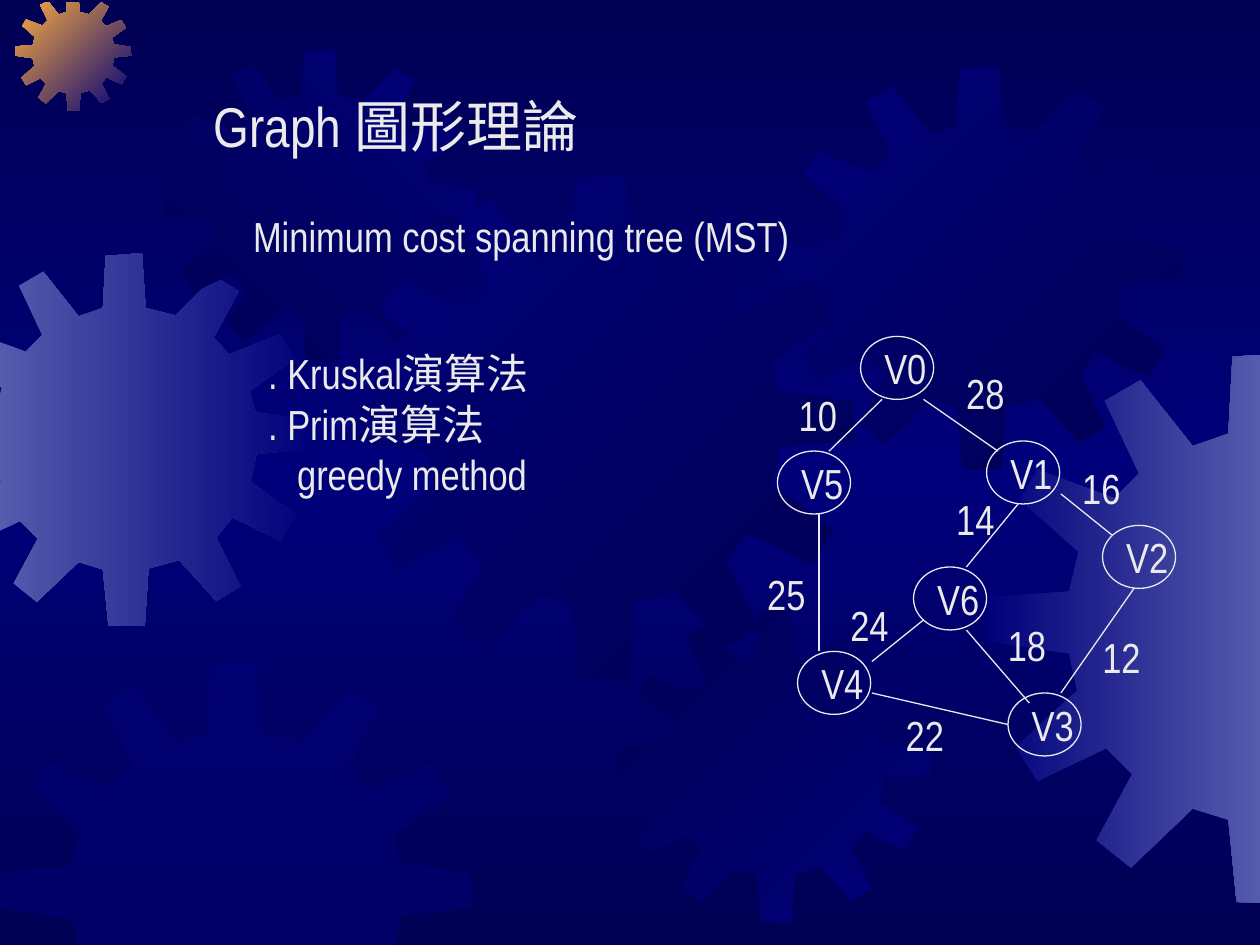
from copy import deepcopy
from typing import NamedTuple, Optional

from lxml.etree import SubElement
from pptx import Presentation
from pptx.dml.color import RGBColor
from pptx.enum.shapes import MSO_CONNECTOR, MSO_SHAPE
from pptx.enum.text import MSO_AUTO_SIZE
from pptx.oxml.ns import qn
from pptx.util import Inches, Pt

FONT = "Arial Narrow"
LIGHT, NAVY, DARK = "EAEAEA", "00007A", "000054"
LILAC, ORANGE = "555BAD", "FCAB40"

# Gear outline in hundredths of an inch, inside a square of GEAR_SIZE
GEAR_SIZE = 401
GEAR_OUTLINE = [
    (255, 67), (223, 59), (219, 0), (180, 3), (177, 59), (151, 68), (113, 20), (87, 35),
    (112, 88), (94, 106), (38, 85), (25, 107), (68, 145), (61, 174), (1, 178), (0, 210),
    (61, 219), (67, 246), (22, 287), (38, 312), (88, 288), (107, 307), (81, 355), (106, 375),
    (151, 332), (177, 340), (183, 400), (222, 401), (226, 339), (259, 330), (299, 374), (325, 358),
    (299, 306), (316, 284), (368, 309), (384, 281), (336, 246), (342, 216), (401, 210), (400, 180),
    (341, 171), (335, 148), (383, 114), (367, 87), (313, 109), (296, 91), (323, 41), (297, 25),
]
# Cutting edges of the slide: axis, limit, side that is kept
SLIDE_EDGES = [(0, -0.01, 1), (0, 10.01, -1), (1, 0.02, 1), (1, 7.54, -1)]


class Gear(NamedTuple):
    left: float
    top: float
    size: float
    start: str
    end: Optional[str] = None  # no end colour: half-transparent solid fill
    angle: int = 0  # clockwise


class Node(NamedTuple):
    name: str
    left: float
    top: float


class Edge(NamedTuple):
    begin: tuple
    end: tuple
    cost: str
    label: tuple


GEARS = [
    Gear(-0.49, 2.01, 2.96, LILAC, NAVY),
    Gear(0.12, -0.04, 0.92, ORANGE, NAVY, 45),
    Gear(1.3, 0.39, 2.48, DARK, NAVY, 315),
    Gear(2.77, 1.39, 4.01, NAVY, DARK, 45),
    Gear(0, 5.25, 3.74, NAVY),
    Gear(4.91, 4.84, 2.48, DARK, NAVY, 45),
    Gear(6.18, 0.53, 3.2, NAVY, DARK, 45),
    Gear(7.82, 2.8, 4.37, NAVY, LILAC),
]
NODES = [
    Node("V0", 6.83, 2.67), Node("V5", 6.17, 3.58), Node("V1", 7.83, 3.5),
    Node("V2", 8.75, 4.17), Node("V6", 7.25, 4.5), Node("V3", 8, 5.5),
    Node("V4", 6.33, 5.17),
]
EDGES = [
    Edge((7, 3.17), (6.58, 3.58), "10", (6.24, 3.04)),
    Edge((7.33, 3.17), (7.92, 3.58), "28", (7.57, 2.87)),
    Edge((8.08, 4), (7.67, 4.5), "14", (7.49, 3.87)),
    Edge((7.33, 4.92), (6.92, 5.25), "24", (6.65, 4.71)),
    Edge((6.5, 4.08), (6.5, 5.17), "25", (5.99, 4.46)),
    Edge((6.92, 5.5), (8, 5.75), "22", (7.09, 5.58)),
    Edge((8.42, 3.92), (8.83, 4.25), "16", (8.49, 3.62)),
    Edge((9, 4.67), (8.42, 5.5), "12", (8.65, 4.96)),
    Edge((7.67, 5), (8.17, 5.58), "18", (7.9, 4.87)),
]


def color(value: str) -> RGBColor:
    return RGBColor.from_string(value)


def fill_gradient(fill, start: str, end: str, angle: int) -> None:
    fill.gradient()
    fill.gradient_angle = (360 - angle) % 360
    for stop, value in zip(fill.gradient_stops, (start, end)):
        stop.color.rgb = color(value)


def clip(points: list, axis: int, limit: float, side: int) -> list:
    """Keep the part of a polygon on one side of a straight cut."""
    kept = []
    for first, second in zip(points, points[1:] + points[:1]):
        first_gap, second_gap = (side * (point[axis] - limit) for point in (first, second))
        if first_gap >= 0:
            kept.append(first)
        if first_gap * second_gap < 0:
            share = first_gap / (first_gap - second_gap)
            kept.append(tuple(a + share * (b - a) for a, b in zip(first, second)))
    return kept


def draw_gear(shapes, gear: Gear) -> None:
    scale = gear.size / GEAR_SIZE
    points = [(gear.left + x * scale, gear.top + y * scale) for x, y in GEAR_OUTLINE]
    for edge in SLIDE_EDGES:
        points = clip(points, *edge)
    corners = [(Inches(x), Inches(y)) for x, y in points]
    builder = shapes.build_freeform(*corners[0])
    builder.add_line_segments(corners[1:], close=True)
    shape = builder.convert_to_shape()
    shape.shadow.inherit = False
    shape.line.fill.background()
    if gear.end:
        fill_gradient(shape.fill, gear.start, gear.end, gear.angle)
    else:
        shape.fill.solid()
        shape.fill.fore_color.rgb = color(gear.start)
        SubElement(shape.element.spPr.find(".//" + qn("a:srgbClr")), qn("a:alpha"), val="50000")


def draw_text(shapes, lines: list, left: float, top: float, width: float,
              height: float = 0.5, size: int = 24):
    box = shapes.add_textbox(Inches(left), Inches(top), Inches(width), Inches(height))
    frame = box.text_frame
    frame.word_wrap = False
    frame.auto_size = MSO_AUTO_SIZE.SHAPE_TO_FIT_TEXT
    frame.text = "\n".join(lines)
    for paragraph in frame.paragraphs:
        paragraph.font.name = FONT
        paragraph.font.size = Pt(size)
        paragraph.font.color.rgb = color(LIGHT)
    return frame


def draw_node(shapes, node: Node) -> None:
    ellipse = shapes.add_shape(MSO_SHAPE.OVAL, Inches(node.left), Inches(node.top),
                               Inches(0.58), Inches(0.5))
    ellipse.shadow.inherit = False
    ellipse.fill.background()
    ellipse.line.color.rgb = color(LIGHT)
    ellipse.line.width = Pt(0.75)
    draw_text(shapes, [node.name], node.left + 0.09, node.top, 0.56)


def draw_edge(shapes, edge: Edge) -> None:
    ends = [Inches(value) for value in edge.begin + edge.end]
    connector = shapes.add_connector(MSO_CONNECTOR.STRAIGHT, *ends)
    connector.line.color.rgb = color(LIGHT)
    connector.line.width = Pt(0.75)
    SubElement(connector.element.spPr, qn("a:effectLst"))
    draw_text(shapes, [edge.cost], *edge.label, 0.53)


def main() -> None:
    presentation = Presentation()
    presentation.slide_width, presentation.slide_height = Inches(10), Inches(7.5)
    slide = presentation.slides.add_slide(presentation.slide_layouts[6])

    # Background: dark, navy in the middle, dark again
    fill_gradient(slide.background.fill, DARK, NAVY, 90)
    stops = slide.element.find(".//" + qn("a:gsLst"))
    stops[1].set("pos", "50000")
    last_stop = deepcopy(stops[0])
    last_stop.set("pos", "100000")
    stops.append(last_stop)
    for gear in GEARS:
        draw_gear(slide.shapes, gear)

    # Headings and list of methods
    draw_text(slide.shapes, ["Graph 圖形理論"], 1.6, 0.68, 3.2, 0.64, 32)
    draw_text(slide.shapes, ["Minimum cost spanning tree (MST)"], 1.91, 1.62, 4.48)
    methods = draw_text(slide.shapes, [". Kruskal演算法", ". Prim演算法", "greedy method"],
                        2.03, 2.71, 2.34, 1.3)
    methods.paragraphs[2]._p.get_or_add_pPr().set("marL", str(Inches(0.23)))

    # Weighted graph
    graph = slide.shapes.add_group_shape()
    for node in NODES:
        draw_node(graph.shapes, node)
    for edge in EDGES:
        draw_edge(graph.shapes, edge)

    presentation.save("out.pptx")


if __name__ == "__main__":
    main()
